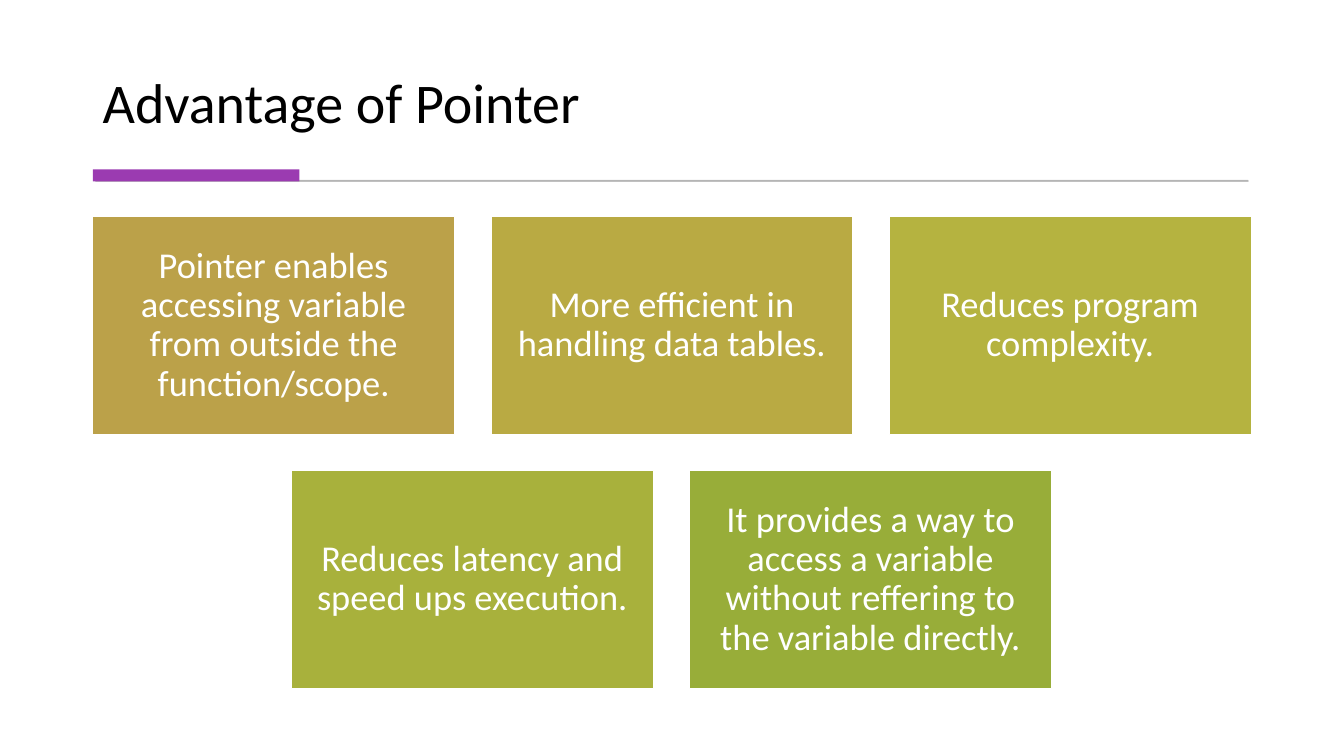
from dataclasses import dataclass

from lxml.etree import SubElement
from pptx import Presentation
from pptx.dml.color import RGBColor
from pptx.dml.fill import FillFormat
from pptx.enum.shapes import MSO_SHAPE
from pptx.enum.text import MSO_ANCHOR, PP_ALIGN
from pptx.oxml.ns import qn
from pptx.shapes.autoshape import Shape
from pptx.slide import Slide
from pptx.util import Emu, Pt

PX = 9144  # EMU in one px, 100 px to the inch
WIDTH, HEIGHT = 1333, 750
CARD_W, CARD_H, GAP = 359, 216, 36
TOP, INSET = 215, 11

WHITE = RGBColor(0xFF, 0xFF, 0xFF)
BLACK = RGBColor(0x00, 0x00, 0x00)
GRAY = RGBColor(0x59, 0x59, 0x59)
PURPLE = RGBColor(0x9B, 0x3B, 0xB1)
BRONZE = RGBColor(0xBB, 0xA1, 0x49)
GOLD = RGBColor(0xB9, 0xAA, 0x43)
MUSTARD = RGBColor(0xB5, 0xB3, 0x40)
OLIVE = RGBColor(0xA8, 0xB1, 0x3C)
GREEN = RGBColor(0x98, 0xAD, 0x39)


@dataclass(frozen=True)
class Card:
    text: str
    color: RGBColor


ROWS = [
    [
        Card("Pointer enables accessing variable from outside the function/scope.", BRONZE),
        Card("More efficient in handling data tables.", GOLD),
        Card("Reduces program complexity.", MUSTARD),
    ],
    [
        Card("Reduces latency and speed ups execution.", OLIVE),
        Card("It provides a way to access a variable without reffering to the variable directly.", GREEN),
    ],
]


def px(size: int) -> Emu:
    return Emu(size * PX)


def add_rect(slide: Slide, x: int, y: int, w: int, h: int, color: RGBColor) -> Shape:
    rect = slide.shapes.add_shape(MSO_SHAPE.RECTANGLE, px(x), px(y), px(w), px(h))
    rect.shadow.inherit = False
    rect.fill.solid()
    rect.fill.fore_color.rgb = color
    rect.line.fill.background()
    return rect


def write(shape: Shape, text: str, size: int, color: RGBColor,
          align: PP_ALIGN, anchor: MSO_ANCHOR) -> None:
    frame = shape.text_frame
    frame.word_wrap = True
    frame.vertical_anchor = anchor
    para = frame.paragraphs[0]
    para.alignment = align
    para.line_spacing = 0.9
    run = para.add_run()
    run.text = text
    run.font.name = "Calibri"
    run.font.size = Pt(size)
    run.font.color.rgb = color


def fade(fill: FillFormat, shape: Shape, percent: int) -> None:
    """Make every solid colour of the shape's fill and line partly opaque."""
    for tone in shape._element.spPr.iter(qn("a:srgbClr")):
        SubElement(tone, qn("a:alpha")).set("val", str(percent * 1000))


def add_header(slide: Slide) -> None:
    title = slide.shapes.add_textbox(px(92), px(28), px(1149), px(111))
    write(title, "Advantage of Pointer", 40, BLACK, PP_ALIGN.LEFT, MSO_ANCHOR.BOTTOM)
    rule = add_rect(slide, 95, 179, 1143, 1, GRAY)
    rule.line.color.rgb = GRAY
    rule.line.width = Pt(0.75)
    fade(rule.fill, rule, 30)
    add_rect(slide, 92, 168, 205, 12, PURPLE)


def add_card(slide: Slide, card: Card, x: int, y: int) -> None:
    box = add_rect(slide, x, y, CARD_W, CARD_H, card.color)
    box.line.color.rgb = WHITE
    box.line.width = Pt(1)
    frame = box.text_frame
    frame.margin_left = frame.margin_right = px(INSET)
    frame.margin_top = frame.margin_bottom = px(INSET)
    write(box, card.text, 26, WHITE, PP_ALIGN.CENTER, MSO_ANCHOR.MIDDLE)


def add_cards(slide: Slide) -> None:
    """Centre each row of cards on the slide."""
    for i, row in enumerate(ROWS):
        left = (WIDTH - len(row) * (CARD_W + GAP) + GAP) // 2
        for j, card in enumerate(row):
            add_card(slide, card, left + j * (CARD_W + GAP), TOP + i * (CARD_H + GAP))


def main() -> None:
    deck = Presentation()
    deck.slide_width, deck.slide_height = px(WIDTH), px(HEIGHT)
    slide = deck.slides.add_slide(deck.slide_layouts[6])
    add_header(slide)
    add_cards(slide)
    deck.save("out.pptx")


if __name__ == "__main__":
    main()
